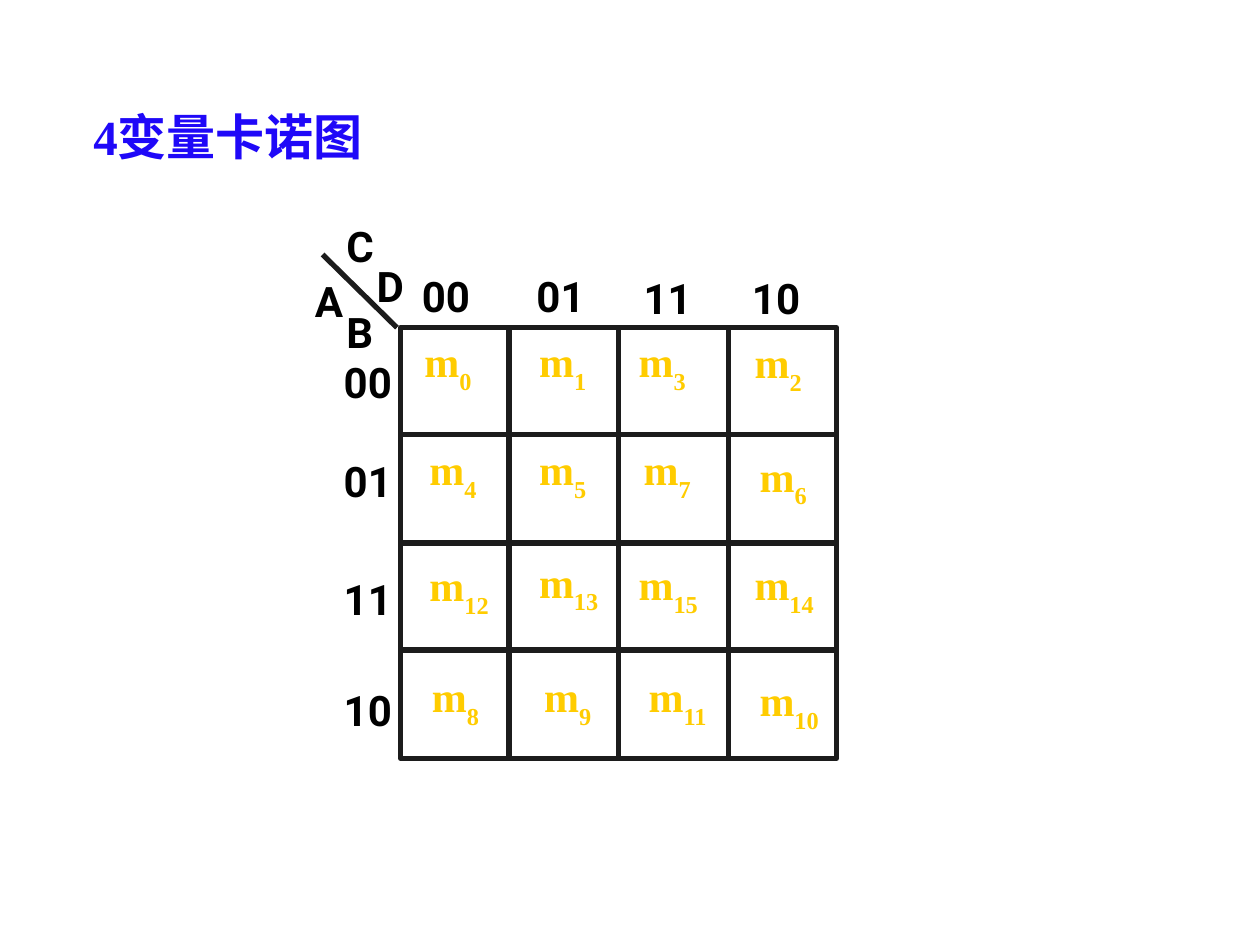
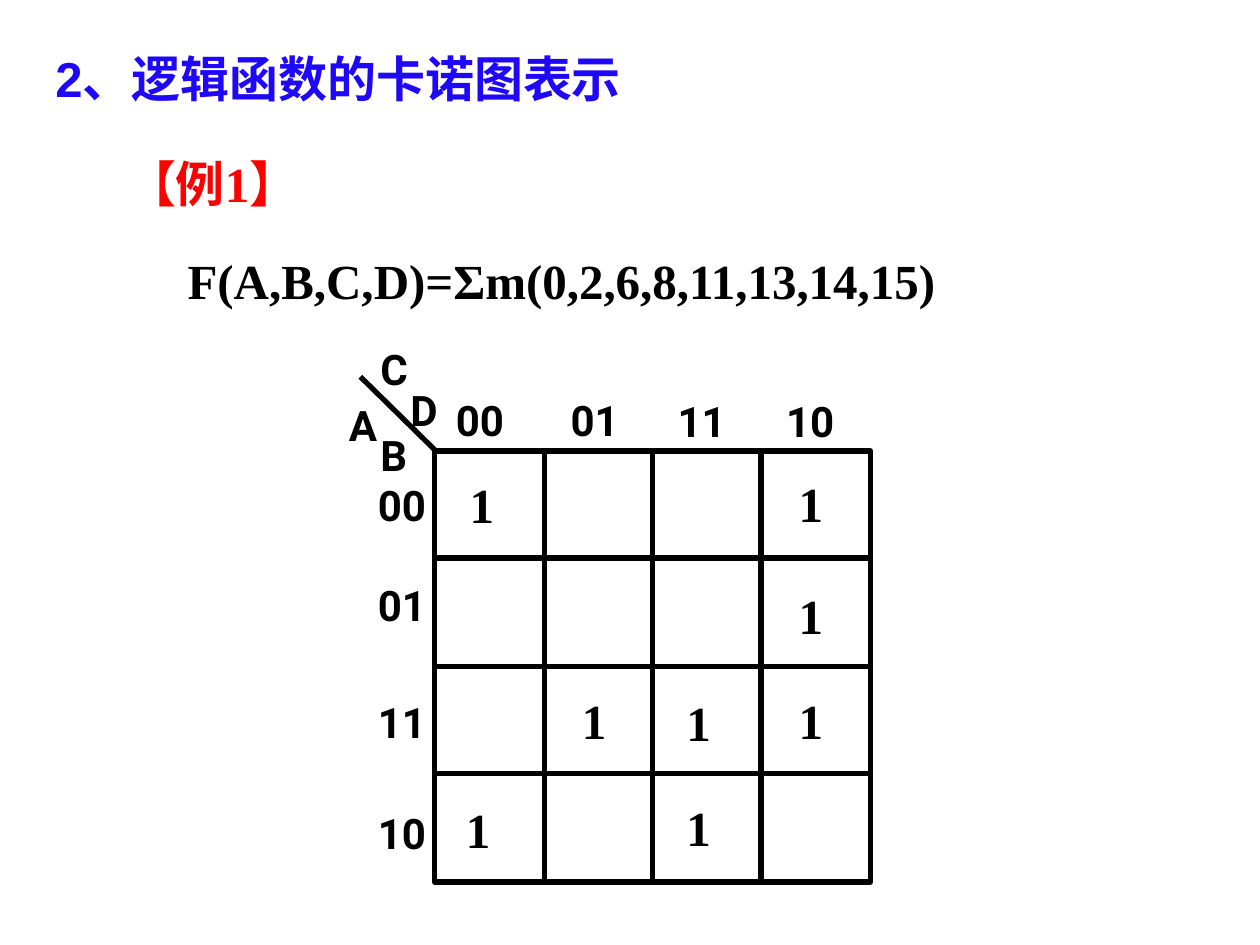
from lxml import etree
from pptx import Presentation, util as u
from pptx.dml.color import RGBColor
from pptx.enum import shapes, text
from pptx.oxml.ns import qn

PX = 9144  # EMU per px, 100 px to the inch
COLORS = {"title": "1F08F8", "black": "000000", "grid": "1C1C1C",
          "minterm": "FFCC00", "example": "FF0000"}
SERIF, SANS, LABEL = "Times New Roman", "Arial", "Roboto"
N = 4
COL_STEP, ROW_STEP = 86.5, 85.4

# Label places are measured from the top left corner of the map
LABELS = [("C", -53, -90, 47), ("D", -29, -58, 47), ("A", -78, -46, 47), ("B", -53, -22, 47),
          ("00", 7, -50, 63), ("01", 98, -50, 63), ("11", 183, -49, 63), ("10", 269, -49, 63),
          ("00", -55, 18, 63), ("01", -55, 97, 63), ("11", -55, 190, 63), ("10", -55, 278, 63)]

MINTERMS = [("0", 327, 265), ("1", 418, 265), ("3", 497, 265), ("2", 589, 266),
            ("4", 331, 351), ("5", 418, 351), ("7", 501, 351), ("6", 593, 356),
            ("12", 331, 443), ("13", 418, 440), ("15", 497, 442), ("14", 589, 442),
            ("8", 333, 531), ("9", 422, 531), ("11", 505, 531), ("10", 593, 534)]

ONES = [(363, 372), (624, 371), (624, 460), (452, 543),
        (535, 545), (624, 543), (360, 630), (535, 628)]

SLIDES = [
    {"title": "4变量卡诺图", "font": SERIF, "box": (64, 85, 257, 51),
     "corner": (318, 260), "diagonal": (315, 260), "line": "grid"},
    {"title": "2、逻辑函数的卡诺图表示", "font": SANS, "box": (34, 30, 489, 60),
     "corner": (345, 358), "diagonal": (345, 357), "line": "black"},
]


def add_text(s, box, runs, font, size, color, placeholder=None):
    """Write (string, is_subscript) runs in a new text box or in the given placeholder."""
    left, top, width, height = (u.Emu(v * PX) for v in box)
    sp = placeholder or s.shapes.add_textbox(left, top, width, height)
    sp.left, sp.top, sp.width, sp.height = left, top, width, height
    tf = sp.text_frame
    tf.word_wrap = True
    tf.auto_size = text.MSO_AUTO_SIZE.NONE
    p = tf.paragraphs[0]
    p.alignment = text.PP_ALIGN.LEFT
    for string, is_subscript in runs:
        r = p.add_run()
        r.text = string
        r.font.name, r.font.size, r.font.bold = font, u.Pt(size), True
        r.font.color.rgb = RGBColor.from_string(COLORS[color])
        if is_subscript:
            r.font._element.set("baseline", "-30000")
    return tf


def add_line(s, x1, y1, x2, y2, color):
    line = s.shapes.add_connector(shapes.MSO_CONNECTOR.STRAIGHT,
                                  *(u.Emu(v * PX) for v in (x1, y1, x2, y2)))
    line.line.width = u.Pt(3)
    line.line.color.rgb = RGBColor.from_string(COLORS[color])
    etree.SubElement(line._element.spPr, qn("a:effectLst"))


prs = Presentation()
prs.slide_width, prs.slide_height = u.Inches(10), u.Inches(7.5)
title_only = prs.slide_layouts[5]

# Both slides: title and empty Karnaugh map with its labels
for item in SLIDES:
    s = prs.slides.add_slide(title_only)
    tf = add_text(s, item["box"], [(item["title"], False)], item["font"], 28, "title",
                  s.shapes.title)
    tf.vertical_anchor = text.MSO_ANCHOR.BOTTOM

    left, top = item["corner"]
    xs = [round(left + i * COL_STEP) for i in range(N + 1)]
    ys = [round(top + i * ROW_STEP) for i in range(N + 1)]
    for y, bottom in zip(ys, ys[1:]):
        for x, right in zip(xs, xs[1:]):
            cell = s.shapes.add_shape(shapes.MSO_SHAPE.RECTANGLE,
                                      *(u.Emu(v * PX) for v in (x, y, right - x, bottom - y)))
            cell.shadow.inherit = False
            cell.fill.background()
            cell.line.width = u.Pt(3)
            cell.line.color.rgb = RGBColor.from_string(COLORS[item["line"]])
    for y in ys:
        add_line(s, xs[0], y, xs[-1], y, item["line"])
    for x in xs:
        add_line(s, x, ys[0], x, ys[-1], item["line"])
    x, y = item["diagonal"]
    add_line(s, x, y, x - 59, y - 58, item["line"])

    for label, dx, dy, width in LABELS:
        add_text(s, (left + dx, top + dy, width, 50), [(label, False)], LABEL, 24, "black")

minterm_slide, example_slide = prs.slides

# Slide 1: minterm numbers
for number, x, y in MINTERMS:
    width = 69 if len(number) == 1 else 80
    tf = add_text(minterm_slide, (x, y, width, 50), [("m", False), (number, True)],
                  SERIF, 24, "minterm")
    tf.word_wrap = False
    tf.auto_size = text.MSO_AUTO_SIZE.SHAPE_TO_FIT_TEXT
    tf.vertical_anchor = text.MSO_ANCHOR.MIDDLE

# Slide 2: example, function and its ones
add_text(example_slide, (91, 117, 178, 57), [("【例1】", False)], SERIF, 28, "example")
add_text(example_slide, (139, 194, 661, 57),
         [("F(A,B,C,D)=Σm(0,2,6,8,11,13,14,15)", False)], SERIF, 28, "black")
for x, y in ONES:
    add_text(example_slide, (x, y, 63, 57), [("1", False)], SERIF, 28, "black")

prs.save("out.pptx")
